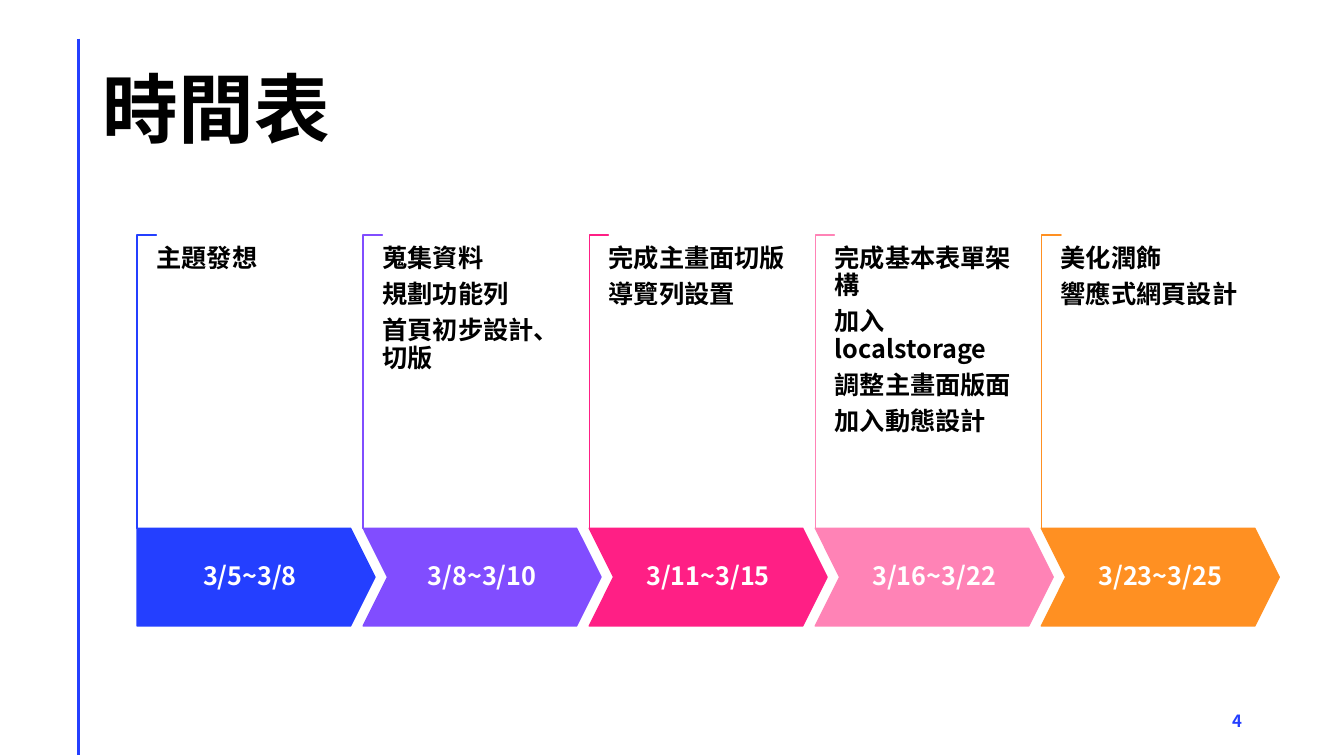
from lxml import etree
from pptx import Presentation
from pptx import util as u
from pptx.dml.color import RGBColor
from pptx.enum import shapes, text
from pptx.oxml import ns

KIND = shapes.MSO_SHAPE
ALIGN = text.PP_ALIGN
ANCHOR = text.MSO_ANCHOR
FACE = "Noto Sans CJK TC"
BLUE = "243FFF"
BLACK = "000000"
WHITE = "FFFFFF"


def color(code):
    return RGBColor.from_string(code)


def apply(target, values):
    for key, value in values.items():
        setattr(target, key, value)


class Board:
    label = {"size": u.Pt(18), "bold": True, "name": FACE}
    para = {"line_spacing": 0.9, "space_after": u.Pt(6.3)}

    def __init__(self, deck):
        self.wide, self.high = deck.slide_width, deck.slide_height
        self.slide = deck.slides.add_slide(deck.slide_layouts[5])

    def x(self, share):
        return round(self.wide * share / 100)

    def y(self, share):
        return round(self.high * share / 100)

    def area(self, left, top, width, height):
        return self.x(left), self.y(top), self.x(width), self.y(height)

    def letter(self, shape, lines, ink, frame, para=None, font=None):
        body = shape.text_frame
        apply(body, {"word_wrap": True, "auto_size": text.MSO_AUTO_SIZE.NONE, **frame})
        body.text = "\n".join(lines)
        for item in body.paragraphs:
            apply(item, {**self.para, **(para or {})})
            for run in item.runs:
                apply(run.font, {**self.label, **(font or {})})
                run.font.color.rgb = color(ink)
                props = run.font._element
                etree.SubElement(props, ns.qn("a:ea"), typeface=FACE)

    def title(self, words, area):
        shape = self.slide.shapes.title
        apply(shape, dict(zip(("left", "top", "width", "height"), self.area(*area))))
        self.letter(shape, [words], BLACK, {"vertical_anchor": ANCHOR.MIDDLE},
                    {"alignment": ALIGN.LEFT, "space_after": 0}, {"size": u.Pt(54)})

    def rule(self, left, top, end, ink):
        line = self.slide.shapes.add_connector(
            shapes.MSO_CONNECTOR.STRAIGHT, self.x(left), self.y(top), self.x(left), self.y(end))
        line.line.color.rgb = color(ink)
        line.line.width = u.Pt(2)
        etree.SubElement(line._element.spPr, ns.qn("a:effectLst"))

    def shape(self, kind, area, fill, edge, adjust):
        shape = self.slide.shapes.add_shape(kind, *area)
        shape.shadow.inherit = False
        shape.fill.solid()
        shape.fill.fore_color.rgb = color(fill)
        shape.line.color.rgb = color(edge)
        shape.line.width = u.Pt(1)
        for spot, value in enumerate(adjust):
            shape.adjustments[spot] = value
        return shape

    def bracket(self, area, ink):
        left, top, width, height = self.area(*area)
        shift = (height - width) // 2
        turned = left - shift, top + shift, height, width
        self.shape(KIND.CORNER, turned, WHITE, ink, [0.01, 0.01]).rotation = 90

    def arrow(self, kind, area, ink, words):
        shape = self.shape(kind, self.area(*area), ink, ink, [0.25])
        side, edge = self.x(0.9), self.y(3.33)
        self.letter(shape, [words], WHITE,
                    {"vertical_anchor": ANCHOR.MIDDLE, "margin_left": side, "margin_right": side,
                     "margin_top": edge, "margin_bottom": edge}, {"alignment": ALIGN.CENTER})

    def notes(self, area, lines):
        box = self.slide.shapes.add_textbox(*self.area(*area))
        sides = ("left", "right", "top", "bottom")
        self.letter(box, lines, BLACK, {f"margin_{side}": 0 for side in sides})

    def number(self, words, area):
        box = self.slide.shapes.add_textbox(*self.area(*area))
        self.letter(box, [words], BLUE, {"vertical_anchor": ANCHOR.MIDDLE},
                    {"alignment": ALIGN.RIGHT, "line_spacing": 1.0, "space_after": u.Pt(6)},
                    {"size": u.Pt(12)})
        box.text_frame.paragraphs[0].runs[0].font._element.set("spc", "100")


STAGES = [
    ("3/5~3/8", BLUE, ["主題發想"]),
    ("3/8~3/10", "814DFF", ["蒐集資料", "規劃功能列", "首頁初步設計、切版"]),
    ("3/11~3/15", "FF1F85", ["完成主畫面切版", "導覽列設置"]),
    ("3/16~3/22", "FF83B6",
     ["完成基本表單架構", "加入localstorage", "調整主畫面版面", "加入動態設計"]),
    ("3/23~3/25", "FF9022", ["美化潤飾", "響應式網頁設計"]),
]
START, STEP, HOOK = 10.2, 16.82, 1.45
TOP, BASE = 31.07, 69.87


def main():
    deck = Presentation()
    deck.slide_width, deck.slide_height = u.Inches(13.33), u.Inches(7.5)
    board = Board(deck)
    board.rule(5.85, 5.1, 99.9, BLUE)
    board.title("時間表", (6.9, 5.33, 86.25, 19.33))
    board.number("4", (70.65, 92.67, 22.5, 5.33))
    for col, (dates, ink, tasks) in enumerate(STAGES):
        left = START + col * STEP
        board.bracket((left, TOP, HOOK, BASE - TOP), ink)
        kind = KIND.CHEVRON if col else KIND.PENTAGON
        board.arrow(kind, (left, BASE, 17.7, 12.93), ink, dates)
        board.notes((left + HOOK, 32.53, 14.4, 30), tasks)
    deck.save("out.pptx")


if __name__ == "__main__":
    main()
